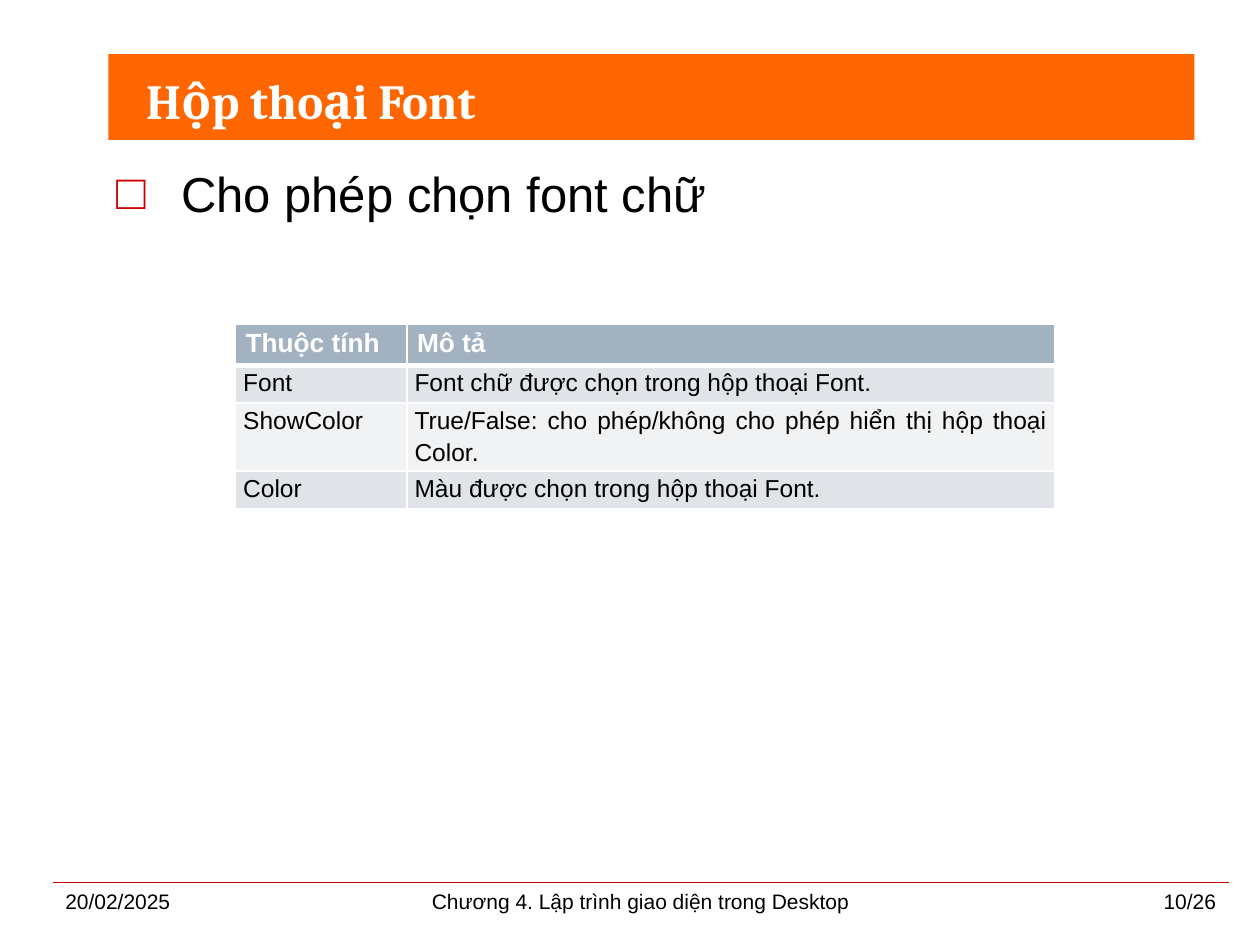
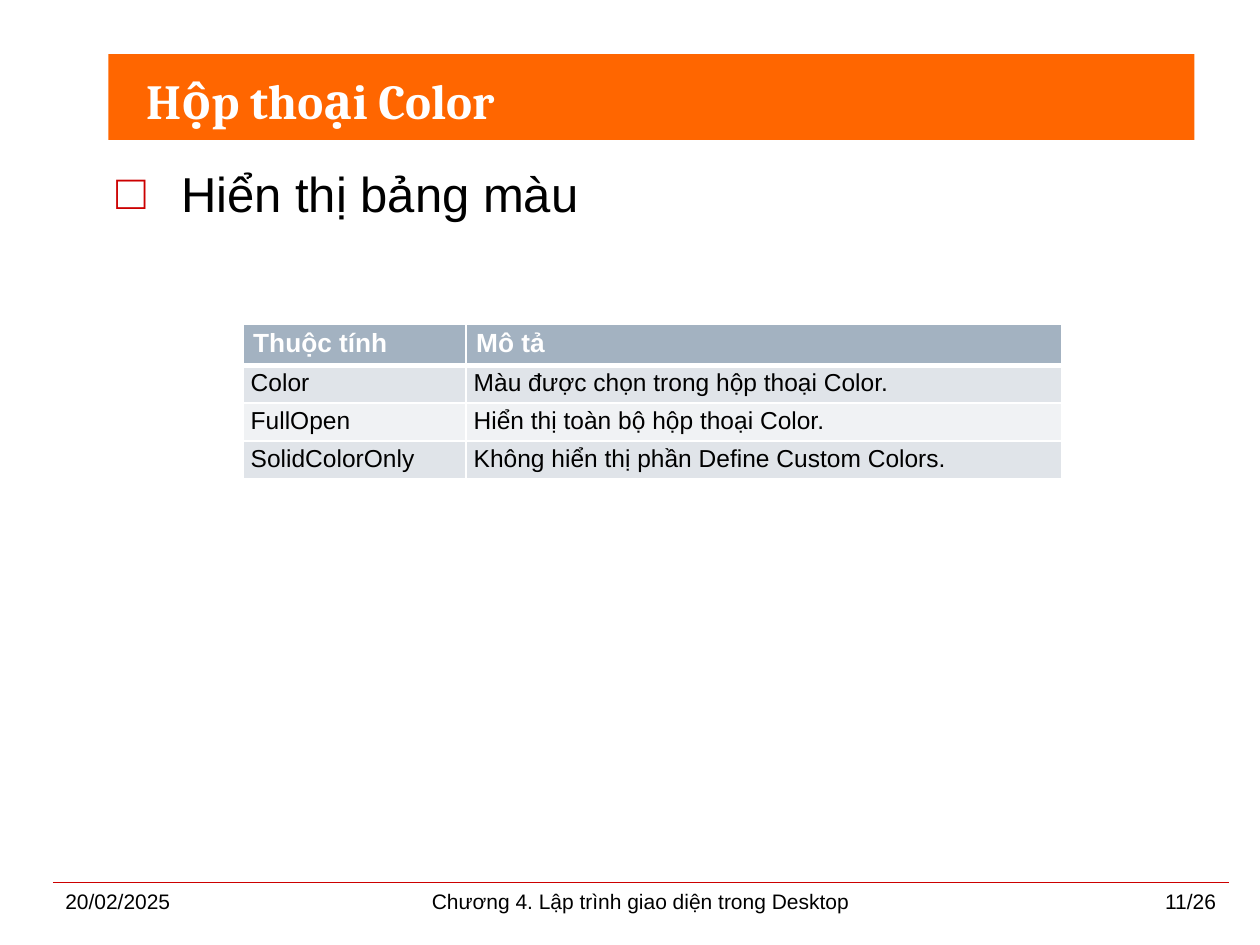
from lxml import etree
from pptx import Presentation
from pptx import util as u
from pptx.dml.color import RGBColor
from pptx.enum import shapes, text
from pptx.oxml.ns import qn

COLORS = {
    "band": "FF6600", "accent": "CC0000", "white": "FFFFFF", "ink": "000000",
    "header": "A3B2C1", "odd": "E0E4E9", "even": "F0F2F4",
}
RGB = {name: RGBColor.from_string(code) for name, code in COLORS.items()}
ALIGN = text.PP_ALIGN
W, H = u.Inches(10), u.Inches(7.5)

# Content of each slide
HEADER = ("Thuộc tính", "Mô tả")
SLIDES = [
    dict(title="Hộp thoại Font", bullet="Cho phép chọn font chữ", page="10/26",
         left=1.87, cols=(1.36, 5.14), heights=(0.33, 0.3, 0.5, 0.3),
         rows=[("Font", "Font chữ được chọn trong hộp thoại Font."),
               ("ShowColor", "True/False: cho phép/không cho phép hiển thị hộp thoại Color."),
               ("Color", "Màu được chọn trong hộp thoại Font.")]),
    dict(title="Hộp thoại Color", bullet="Hiển thị bảng màu", page="11/26",
         left=1.93, cols=(1.77, 4.73), heights=(0.33, 0.3, 0.3, 0.3),
         rows=[("Color", "Màu được chọn trong hộp thoại Color."),
               ("FullOpen", "Hiển thị toàn bộ hộp thoại Color."),
               ("SolidColorOnly", "Không hiển thị phần Define Custom Colors.")]),
]
# Footer columns: left and width as shares of the slide width
FOOTER = [(0.042, 0.217, ALIGN.LEFT), (0.292, 0.433, ALIGN.CENTER),
          (0.758, 0.217, ALIGN.RIGHT)]
FOOTER_TOP = u.Inches(7)


def write(tf, words, size, color="ink", align=ALIGN.LEFT, font="Arial", bold=False):
    tf.word_wrap = True
    p = tf.paragraphs[0]
    p.alignment = align
    r = p.add_run()
    r.text = words
    r.font.name, r.font.size, r.font.bold = font, u.Pt(size), bold
    r.font.color.rgb = RGB[color]
    return p


def add_border(cell, side, points):
    ln = etree.SubElement(cell._tc.get_or_add_tcPr(), qn(f"a:ln{side}"), w=str(u.Pt(points)))
    fill = etree.SubElement(ln, qn("a:solidFill"))
    etree.SubElement(fill, qn("a:srgbClr"), val=COLORS["white"])


prs = Presentation()
prs.slide_width, prs.slide_height = W, H

for page in SLIDES:
    s = prs.slides.add_slide(prs.slide_layouts[5])

    # Footer rule
    line = s.shapes.add_connector(shapes.MSO_CONNECTOR.STRAIGHT, int(W * 0.042), FOOTER_TOP,
                                  int(W * 0.975), FOOTER_TOP)
    line.line.color.rgb = RGB["accent"]
    line.line.width = u.Pt(0.25)
    etree.SubElement(line.element.spPr, qn("a:effectLst"))

    # Title band, with the title placed above it
    band = s.shapes.add_shape(shapes.MSO_SHAPE.RECTANGLE, u.Inches(0.86), u.Inches(0.43),
                              u.Inches(8.62), u.Inches(0.68))
    band.shadow.inherit = False
    band.fill.solid()
    band.fill.fore_color.rgb = RGB["band"]
    band.line.fill.background()
    title = s.shapes.title
    title.left, title.top = u.Inches(1.06), u.Inches(0.42)
    title.width, title.height = u.Inches(8.19), u.Inches(0.75)
    band.element.addnext(title.element)
    title.text_frame.auto_size = text.MSO_AUTO_SIZE.NONE
    title.text_frame.vertical_anchor = text.MSO_ANCHOR.MIDDLE
    write(title.text_frame, page["title"], 28, "white", font="Cambria", bold=True)

    # Bullet
    sp = s.shapes.add_textbox(u.Inches(0.83), u.Inches(1.25), u.Inches(8.67), u.Inches(5.67))
    p = write(sp.text_frame, page["bullet"], 28, align=ALIGN.JUSTIFY)
    pPr = p._p.get_or_add_pPr()
    pPr.set("marL", str(u.Inches(0.51)))
    pPr.set("indent", str(-u.Inches(0.51)))
    color = etree.SubElement(pPr, qn("a:buClr"))
    etree.SubElement(color, qn("a:srgbClr"), val=COLORS["accent"])
    etree.SubElement(pPr, qn("a:buFont"), typeface="Arial")
    etree.SubElement(pPr, qn("a:buChar"), char="□")

    # Footer
    words = ("20/02/2025", "Chương 4. Lập trình giao diện trong Desktop", page["page"])
    for (left, width, align), label in zip(FOOTER, words):
        sp = s.shapes.add_textbox(int(W * left), FOOTER_TOP, int(W * width), u.Inches(0.35))
        write(sp.text_frame, label, 12, align=align)

    # Property table
    rows = [HEADER] + page["rows"]
    frame = s.shapes.add_table(len(rows), len(HEADER), u.Inches(page["left"]), u.Inches(2.57),
                               u.Inches(sum(page["cols"])), u.Inches(sum(page["heights"])))
    table = frame.table
    for col, width in zip(table.columns, page["cols"]):
        col.width = u.Inches(width)
    for row, height in zip(table.rows, page["heights"]):
        row.height = u.Inches(height)
    for i, values in enumerate(rows):
        is_header = i == 0
        for j, value in enumerate(values):
            cell = table.cell(i, j)
            cell.margin_left = cell.margin_right = u.Inches(0.08 if is_header else 0.06)
            cell.margin_top = cell.margin_bottom = u.Inches(0.04 if is_header else 0)
            for side in "LRT":
                add_border(cell, side, 3 if side == "T" and i == 1 else 1)
            add_border(cell, "B", 3 if is_header else 1)
            cell.fill.solid()
            cell.fill.fore_color.rgb = RGB["header" if is_header else "odd" if i % 2 else "even"]
            if is_header:
                write(cell.text_frame, value, 15, "white", bold=True)
            else:
                p = write(cell.text_frame, value, 14, align=ALIGN.JUSTIFY)
                p.line_spacing = 1.15
                p.space_after = u.Pt(6)

prs.save("out.pptx")
